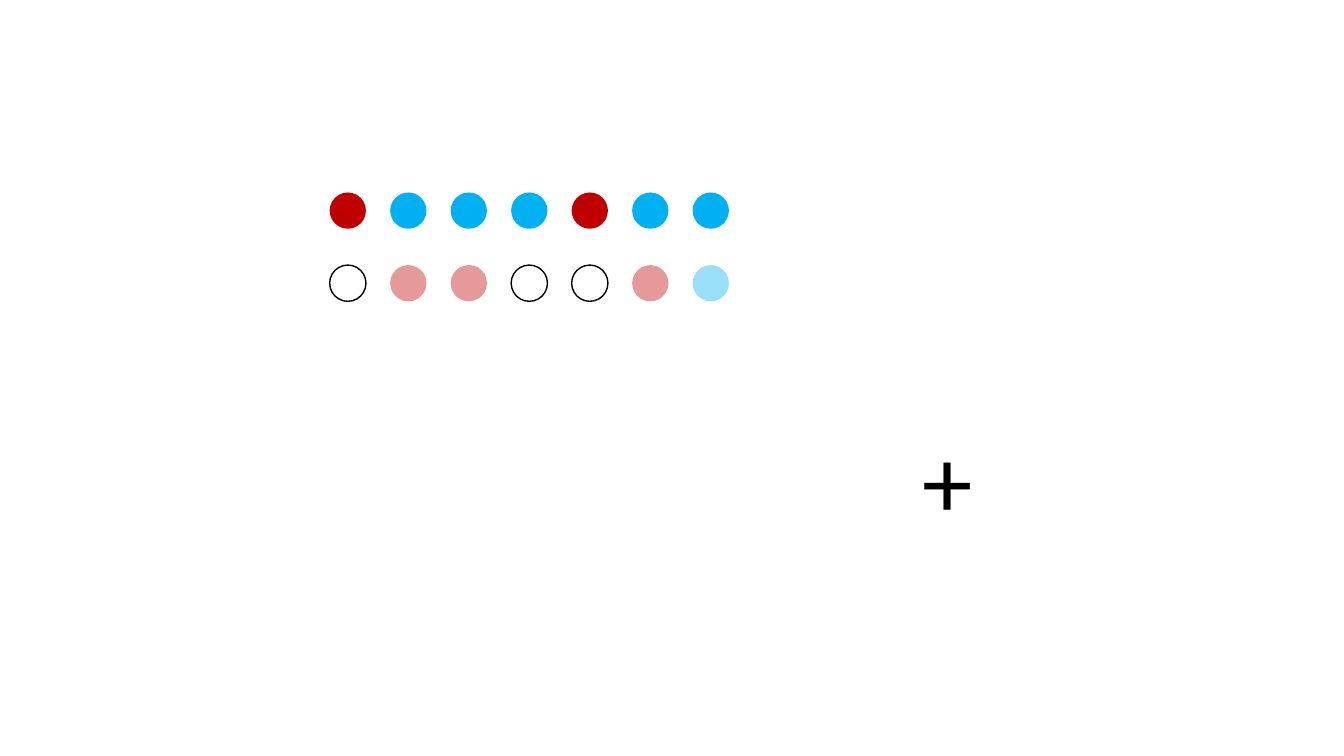
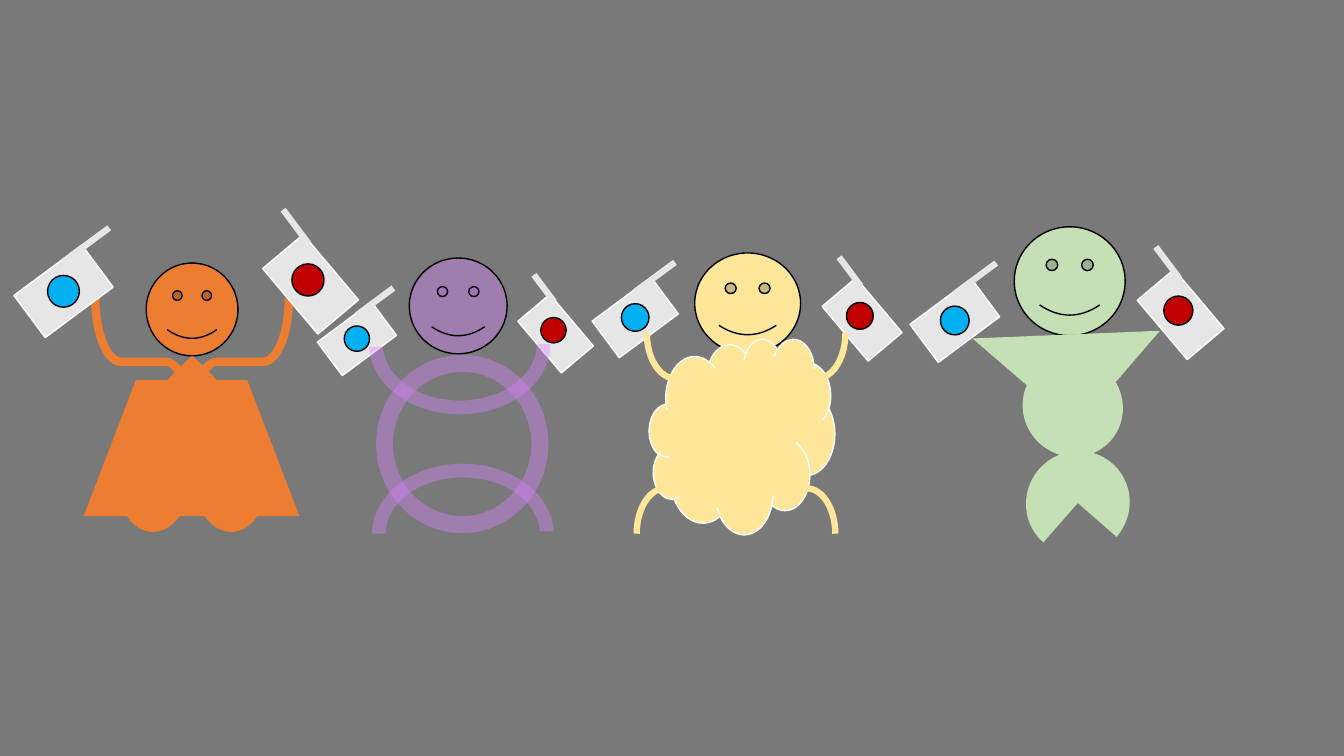
from lxml import etree
from pptx import Presentation
from pptx.dml.color import RGBColor
from pptx.enum.shapes import MSO_CONNECTOR, MSO_SHAPE
from pptx.enum.text import PP_ALIGN
from pptx.oxml.ns import qn
from pptx.util import Inches, Pt

OVAL, RECT, FACE = MSO_SHAPE.OVAL, MSO_SHAPE.RECTANGLE, MSO_SHAPE.SMILEY_FACE
HEART, SKIRT, BRACE = MSO_SHAPE.HEART, MSO_SHAPE.TRAPEZOID, MSO_SHAPE.RIGHT_BRACE
RING, ARC, CLOUD = MSO_SHAPE.DONUT, MSO_SHAPE.BLOCK_ARC, MSO_SHAPE.CLOUD
PIE, TEAR, WEDGE = MSO_SHAPE.PIE, MSO_SHAPE.TEAR, MSO_SHAPE.RIGHT_TRIANGLE
STRAIGHT, CENTER = MSO_CONNECTOR.STRAIGHT, PP_ALIGN.CENTER

COLORS = {
    "red": "C00000", "blue": "00B0F0", "white": "FFFFFF", "black": "000000",
    "gray": "797979", "flag": "E7E6E6", "orange": "ED7D31",
    "purple": "D883FF", "yellow": "FFE699", "green": "C5E0B4",
}
FADED = 40  # opacity in percent

# Dot rows: colour and opacity for each letter
DOTS = {"R": ("red", 100), "B": ("blue", 100), "W": ("white", 100),
        "r": ("red", FADED), "b": ("blue", FADED)}
ROWS = ["RBBBRBB", "WrrWWrb"]

# Flag parts, as multiples of the flag width from its centre:
# turn, disc colour, disc centre, pole start, pole end
SIDES = {
    "left": (143.4, "blue", (0, 0), (0, -0.35), (0.54, -0.75)),
    "right": (49.9, "red", (-0.03, -0.05), (-0.02, -0.47), (-0.32, -0.87)),
}

# Each person: head box, flags (centre, width) and body parts
# (kind, box, turn, adjustments, line); offsets start at the head's corner
ARC_ADJ = (108, 215, 0.098)
PEOPLE = [
    {"color": "yellow", "head": (6.89, 2.51, 1.05, 1),
     "left": (-0.59, 0.64, 0.73), "right": (1.66, 0.66, 0.71),
     "body": [(CLOUD, (-0.45, 0.85, 1.84, 1.94), 0, (), ("white", 1)),
              (BRACE, (0.06, 0.26, 0.9, 1.97), 90, (0.314, 0.5), ("yellow", 4.5)),
              (BRACE, (-0.04, 1.35, 0.9, 1.97), 270, (0.314, 0.5), ("yellow", 4.5))]},
    {"color": "orange", "head": (1.45, 2.61, 0.91, 0.92), "front": True,
     "left": (-0.82, 0.28, 0.84), "right": (1.63, 0.21, 0.85),
     "body": [(HEART, (-0.27, 0.92, 1.45, 1.77), 180, (), None),
              (SKIRT, (-0.62, 1.16, 2.14, 1.35), 0, (0.384,), None),
              (BRACE, (-0.18, 0.02, 1.27, 1.92), 90, (0.202, 0.504), ("orange", 6))]},
    {"color": "purple", "head": (4.06, 2.56, 0.97, 0.95), "alpha": FADED,
     "left": (-0.52, 0.8, 0.67), "right": (1.45, 0.75, 0.67),
     "body": [(RING, (-0.33, 0.96, 1.71, 1.77), 0, (0.099,), None),
              (ARC, (-0.37, 2.04, 1.8, 1.39), 0, ARC_ADJ, None),
              (ARC, (-0.4, 0.16, 1.8, 1.39), 180, ARC_ADJ, None)]},
    {"color": "green", "head": (10.06, 2.25, 1.1, 1.08),
     "left": (-0.59, 0.93, 0.76), "right": (1.65, 0.87, 0.77),
     "body": [(PIE, (0.11, 2.23, 1.04, 1.02), 131.2, (), None),
              (TEAR, (0.09, 1.28, 0.98, 1.01), 315.9, (), None),
              (WEDGE, (-0.12, 0.39, 1.27, 1.36), 310.7, (), None)]},
]


def rgb(name):
    return RGBColor.from_string(COLORS[name])


def add_slide(deck, back):
    slide = deck.slides.add_slide(deck.slide_layouts[6])
    slide.background.fill.solid()
    slide.background.fill.fore_color.rgb = rgb(back)
    return slide


def add_part(slide, kind, box, fill, line=None, alpha=100, turn=0, adjust=()):
    part = slide.shapes.add_shape(kind, *map(Inches, box))
    part.shadow.inherit = False
    part.rotation = turn
    for i, value in enumerate(adjust):
        part.adjustments[i] = value
    if fill:
        part.fill.solid()
        part.fill.fore_color.rgb = rgb(fill)
        if alpha < 100:
            tint = part.fill._xPr.find(".//" + qn("a:srgbClr"))
            etree.SubElement(tint, qn("a:alpha"), val=str(alpha * 1000))
    else:
        part.fill.background()
    if line:
        part.line.color.rgb = rgb(line[0])
        part.line.width = Pt(line[1])
    else:
        part.line.fill.background()


def add_pole(slide, start, end):
    pole = slide.shapes.add_connector(STRAIGHT, *map(Inches, start + end))
    pole.line.color.rgb = rgb("flag")
    pole.line.width = Pt(4.5)
    etree.SubElement(pole._element.spPr, qn("a:effectLst"))


def add_dots(slide, left, top, size=0.36, step=0.6, drop=0.72):
    for r, row in enumerate(ROWS):
        for c, key in enumerate(row):
            color, alpha = DOTS[key]
            line = ("black", 1) if key == "W" else None
            box = (left + c * step, top + r * drop, size, size)
            add_part(slide, OVAL, box, color, line, alpha)


def add_plus(slide, box):
    frame = slide.shapes.add_textbox(*map(Inches, box)).text_frame
    frame.word_wrap = True
    para = frame.paragraphs[0]
    para.text = "+"
    para.alignment = CENTER
    para.font.size = Pt(72)
    para.font.name = "Calibri"
    para.font.color.rgb = rgb("black")


def add_flag(slide, x, y, wide, side):
    turn, color, *spots = SIDES[side]
    disc, start, end = [(x + dx * wide, y + dy * wide) for dx, dy in spots]
    high, size = 0.62 * wide, 0.375 * wide
    # Cloth, disc and pole
    add_part(slide, RECT, (x - wide / 2, y - high / 2, wide, high), "flag",
             ("white", 1), turn=turn)
    add_part(slide, OVAL, (disc[0] - size / 2, disc[1] - size / 2, size, size),
             color, ("black", 1))
    add_pole(slide, start, end)


def add_flags(slide, person):
    x, y = person["head"][:2]
    for side in ("right", "left"):
        dx, dy, wide = person[side]
        add_flag(slide, x + dx, y + dy, wide, side)


def add_body(slide, person):
    x, y = person["head"][:2]
    for kind, (dx, dy, wide, high), turn, adjust, line in person["body"]:
        fill = None if kind == BRACE else person["color"]
        add_part(slide, kind, (x + dx, y + dy, wide, high), fill, line,
                 person.get("alpha", 100), turn, adjust)


def add_person(slide, person):
    add_part(slide, FACE, person["head"], person["color"], ("black", 1),
             person.get("alpha", 100))
    # Flags lie behind the body unless they are held in front
    steps = [add_flags, add_body]
    if person.get("front"):
        steps.reverse()
    for step in steps:
        step(slide, person)


def main():
    deck = Presentation()
    deck.slide_width, deck.slide_height = Inches(13.33), Inches(7.5)

    # Slide 1: dot rows and fixation cross
    slide = add_slide(deck, "white")
    add_dots(slide, 3.27, 1.91)
    add_plus(slide, (9.05, 4.09, 0.49, 1.31))

    # Slide 2: four people with flags
    slide = add_slide(deck, "gray")
    for person in PEOPLE:
        add_person(slide, person)

    deck.save("out.pptx")


if __name__ == "__main__":
    main()
